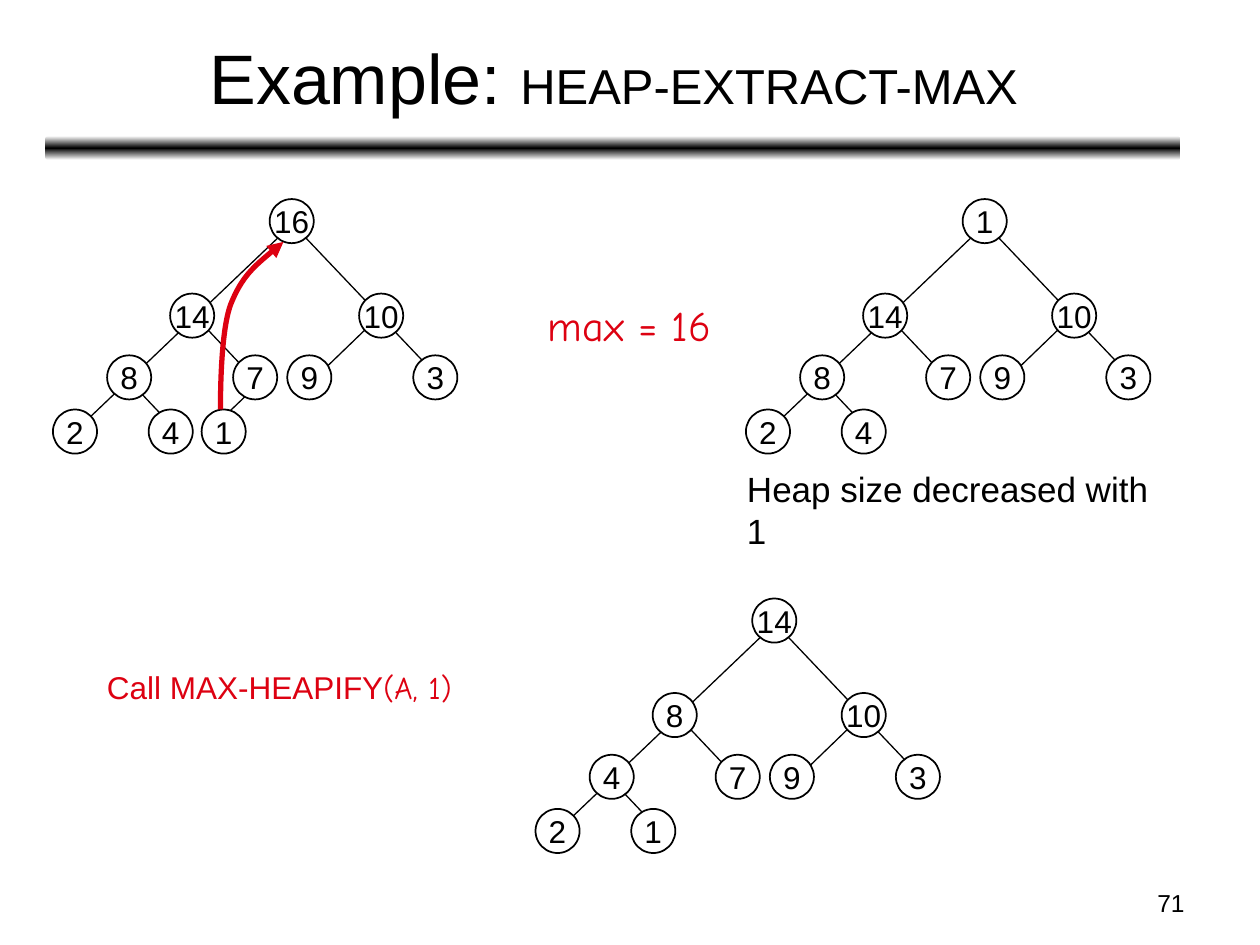
from typing import NamedTuple

from lxml.etree import SubElement
from pptx import Presentation
from pptx.dml.color import RGBColor
from pptx.enum.shapes import MSO_CONNECTOR, MSO_SHAPE
from pptx.enum.text import MSO_ANCHOR, PP_ALIGN
from pptx.oxml import parse_xml
from pptx.oxml.ns import nsdecls, qn
from pptx.util import Inches, Pt

BLACK = RGBColor(0x00, 0x00, 0x00)
WHITE = RGBColor(0xFF, 0xFF, 0xFF)
RED = RGBColor(0xDD, 0x01, 0x11)
SANS, HAND = "Arial", "Comic Neue"

# The slide is a grid of 100 columns by 75 rows.
COLS, ROWS = 100, 75
WIDTH, HEIGHT = Inches(10), Inches(7.5)
NODE = 3.5  # node diameter in columns


class Spot(NamedTuple):
    col: float
    row: float


class Edge(NamedTuple):
    start: Spot
    end: Spot
    need: int  # smallest heap that has this edge


class Heap(NamedTuple):
    origin: Spot
    keys: list[int]


class Note(NamedTuple):
    spot: Spot
    width: float
    height: float
    runs: list[tuple[str, str]]  # text and font
    size: int
    color: RGBColor
    align: PP_ALIGN = PP_ALIGN.LEFT


# Node places in heap order, measured from the top left of a heap.
SPOTS = [
    Spot(17.2, 0),
    Spot(9.3, 7.5), Spot(24.3, 7.5),
    Spot(4.3, 12.4), Spot(14.3, 12.4), Spot(18.6, 12.4), Spot(28.6, 12.4),
    Spot(0, 16.7), Spot(7.6, 16.7), Spot(11.8, 16.7),
]
# Strands run behind the nodes; the two long ones link whole flanks.
EDGES = [
    Edge(Spot(12.4, 18.4), Spot(16.9, 14.1), 10),
    Edge(Spot(20.5, 14.5), Spot(26.1, 9.1), 6),
    Edge(Spot(10.3, 18.9), Spot(5, 13.3), 9),
    Edge(Spot(16.2, 14.5), Spot(10.9, 8.9), 5),
    Edge(Spot(31.3, 14.9), Spot(18, 0.9), 7),
    Edge(Spot(1.8, 18.4), Spot(19.3, 1.7), 8),
]
HEAPS = [
    Heap(Spot(4.2, 15.8), [16, 14, 10, 8, 7, 9, 3, 2, 4, 1]),
    Heap(Spot(59.2, 15.8), [1, 14, 10, 8, 7, 9, 3, 2, 4]),
    Heap(Spot(42.5, 47.5), [14, 8, 10, 4, 7, 9, 3, 2, 1]),
]
NOTES = [
    Note(Spot(42.5, 23.3), 15.5, 5, [("max = 16", HAND)], 24, RED),
    Note(Spot(58.3, 36.6), 36.1, 4.3,
         [("Heap size decreased with 1", SANS)], 20, BLACK),
    Note(Spot(7.5, 52.5), 30.5, 4,
         [("Call MAX-HEAPIFY", SANS), ("(A, 1)", HAND)], 18, RED),
    Note(Spot(71.7, 70), 23.3, 3.5, [("71", SANS)], 14, BLACK,
         PP_ALIGN.RIGHT),
]
# Two cubic curves: a start, then two handles and an end for each.
SWEEP = [
    Spot(22.5, 19.2),
    Spot(20.8, 20.6), Spot(19.2, 21.9), Spot(18.3, 24.2),
    Spot(17.5, 26.4), Spot(17.5, 31.5), Spot(17.5, 32.5),
]


def across(cols: float) -> int:
    return round(WIDTH * cols / COLS)


def down(rows: float) -> int:
    return round(HEIGHT * rows / ROWS)


def point(spot: Spot, origin: Spot = Spot(0, 0)) -> tuple[int, int]:
    return across(origin.col + spot.col), down(origin.row + spot.row)


def draw_title(slide) -> None:
    title = slide.shapes.title
    title.left, title.top = point(Spot(3.7, 1.1))
    title.width, title.height = across(90), down(9.9)
    title.text_frame.vertical_anchor = MSO_ANCHOR.MIDDLE
    para = title.text_frame.paragraphs[0]
    para.alignment = PP_ALIGN.CENTER
    for text, size in (("Example: ", 40), ("HEAP-EXTRACT-MAX", 28)):
        run = para.add_run()
        run.text = text
        run.font.size = Pt(size)
        run.font.name = SANS
        run.font.color.rgb = BLACK


def draw_rule(slide) -> None:
    """Draw the bar under the title, fading from black to white."""
    bar = slide.shapes.add_shape(MSO_SHAPE.ROUNDED_RECTANGLE,
                                 *point(Spot(3.6, 10.8)),
                                 across(90.1), down(1.9))
    bar.shadow.inherit = False
    bar.line.fill.background()
    stops = "".join(
        f'<a:gs pos="{pos}"><a:srgbClr val="{color}"/></a:gs>'
        for pos, color in ((0, WHITE), (50000, BLACK), (100000, WHITE)))
    fade = parse_xml(f'<a:gradFill {nsdecls("a")}><a:gsLst>{stops}</a:gsLst>'
                     '<a:lin ang="5400000" scaled="0"/></a:gradFill>')
    bar.element.spPr.find(qn("a:prstGeom")).addnext(fade)


def draw_edge(slide, edge: Edge, origin: Spot) -> None:
    line = slide.shapes.add_connector(MSO_CONNECTOR.STRAIGHT,
                                      *point(edge.start, origin),
                                      *point(edge.end, origin))
    line.line.color.rgb = BLACK
    line.line.width = Pt(0.75)
    SubElement(line.element.spPr, qn("a:effectLst"))


def draw_node(slide, key: int, spot: Spot, origin: Spot) -> None:
    node = slide.shapes.add_shape(MSO_SHAPE.OVAL, *point(spot, origin),
                                  across(NODE), down(NODE))
    node.shadow.inherit = False
    node.fill.solid()
    node.fill.fore_color.rgb = WHITE
    node.line.color.rgb = BLACK
    node.line.width = Pt(1)
    frame = node.text_frame
    frame.word_wrap = False
    frame.vertical_anchor = MSO_ANCHOR.MIDDLE
    para = frame.paragraphs[0]
    para.text = str(key)
    para.alignment = PP_ALIGN.CENTER
    para.font.size = Pt(18)
    para.font.name = SANS
    para.font.color.rgb = BLACK


def draw_heap(slide, heap: Heap) -> None:
    for edge in EDGES:
        if len(heap.keys) >= edge.need:
            draw_edge(slide, edge, heap.origin)
    for key, spot in zip(heap.keys, SPOTS):
        draw_node(slide, key, spot, heap.origin)


def draw_sweep(slide, spots: list[Spot]) -> None:
    """Draw a red curve with its arrowhead at the first spot."""
    pen = slide.shapes.build_freeform(*point(spots[0]))
    pen.add_line_segments([point(spot) for spot in spots[1:]], close=False)
    curve = pen.convert_to_shape()
    curve.shadow.inherit = False
    curve.fill.background()
    curve.line.color.rgb = RED
    curve.line.width = Pt(3)
    SubElement(curve.line._get_or_add_ln(), qn("a:headEnd"), type="triangle")
    track = next(curve.element.iter(qn("a:path")))
    legs = track.findall(qn("a:lnTo"))
    for first in range(0, len(legs), 3):
        bend = SubElement(track, qn("a:cubicBezTo"))
        for leg in legs[first:first + 3]:
            bend.append(leg[0])
            track.remove(leg)


def draw_note(slide, note: Note) -> None:
    box = slide.shapes.add_textbox(*point(note.spot),
                                   across(note.width), down(note.height))
    box.text_frame.word_wrap = True
    para = box.text_frame.paragraphs[0]
    para.alignment = note.align
    para.font.size = Pt(note.size)
    para.font.color.rgb = note.color
    for text, font in note.runs:
        run = para.add_run()
        run.text = text
        run.font.name = font


def main() -> None:
    deck = Presentation()
    deck.slide_width, deck.slide_height = WIDTH, HEIGHT
    slide = deck.slides.add_slide(deck.slide_layouts[5])
    draw_rule(slide)
    draw_title(slide)
    for heap in HEAPS:
        draw_heap(slide, heap)
    draw_sweep(slide, SWEEP)
    for note in NOTES:
        draw_note(slide, note)
    deck.save("out.pptx")


if __name__ == "__main__":
    main()
